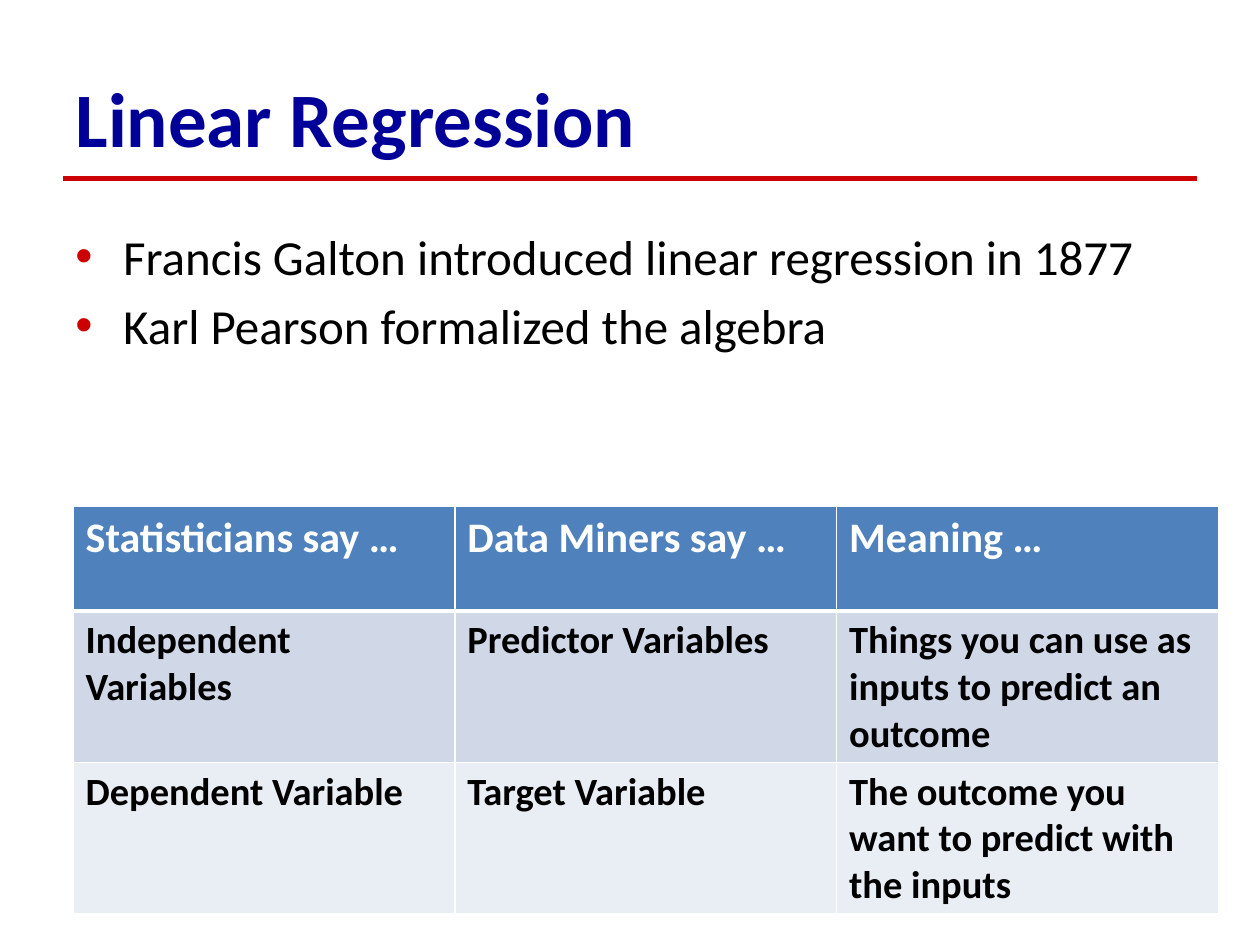
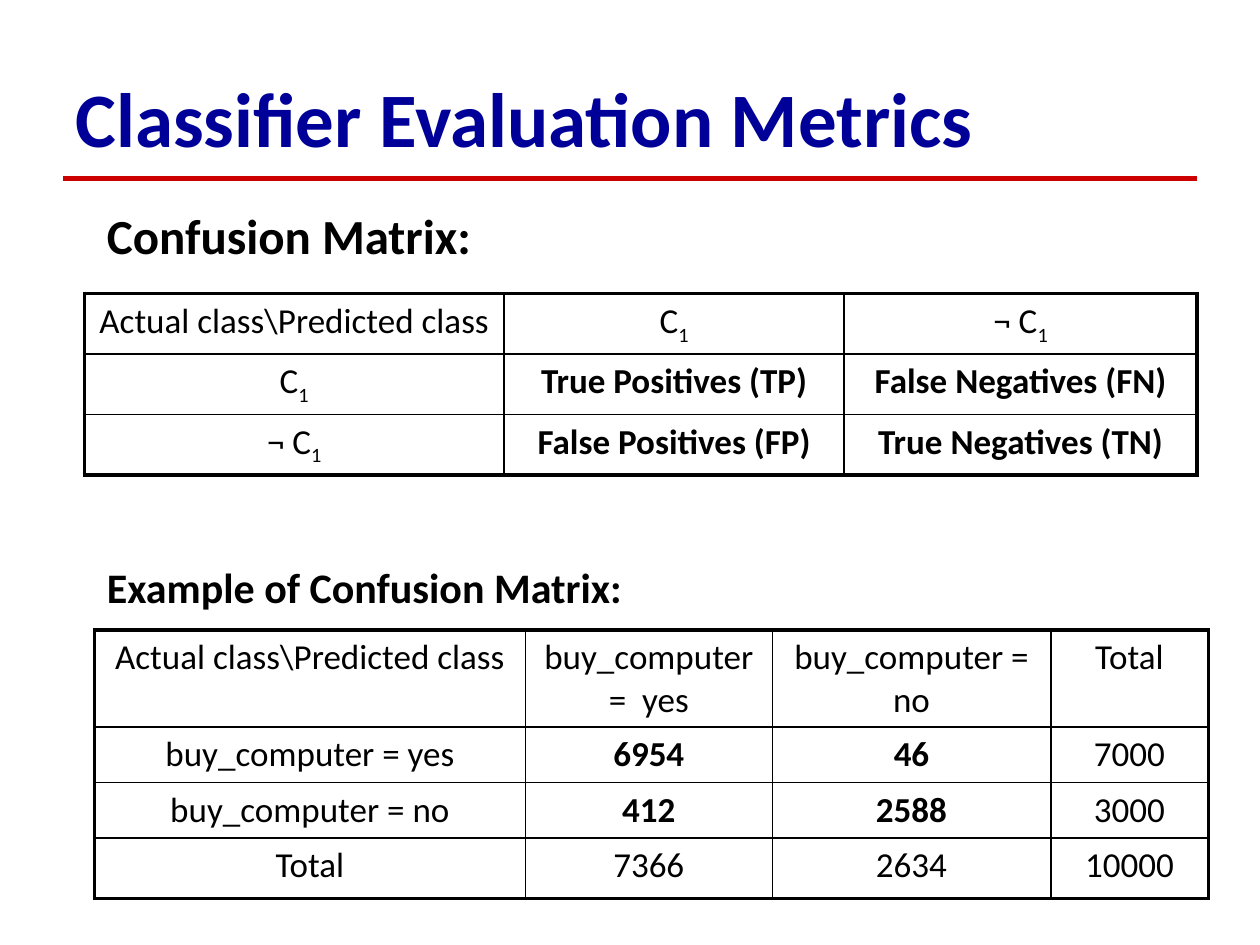
import pptx
import pptx.util
import pptx.dml.color
import pptx.enum.shapes
import pptx.enum.text
import pptx.oxml
import pptx.oxml.ns
import lxml.etree

Inches = pptx.util.Inches
Pt = pptx.util.Pt
CENTER = pptx.enum.text.PP_ALIGN.CENTER
LEFT = pptx.enum.text.PP_ALIGN.LEFT

# Shared look
FONT = "Calibri"
NAVY, RED, BLACK, WHITE = "000099", "CC0000", "000000", "FFFFFF"
HEADER_BLUE, BAND_DARK, BAND_LIGHT = "4F81BD", "D0D8E8", "E9EDF4"
TITLE_ONLY = 5
SUBSCRIPT_MARK = "~"

TERMS = [
    ["Statisticians say …", "Data Miners say …", "Meaning …"],
    ["Independent Variables", "Predictor Variables",
     "Things you can use as inputs to predict an outcome"],
    ["Dependent Variable", "Target Variable",
     "The outcome you want to predict with the inputs"],
]
CONFUSION = [
    ["Actual class\\Predicted class", "C~1", "¬ C~1"],
    ["C~1", "True Positives (TP)", "False Negatives (FN)"],
    ["¬ C~1", "False Positives (FP)", "True Negatives (TN)"],
]
EXAMPLE = [
    ["Actual class\\Predicted class", "buy_computer =  yes", "buy_computer = no", "Total"],
    ["buy_computer = yes", "6954", "46", "7000"],
    ["buy_computer = no", "412", "2588", "3000"],
    ["Total", "7366", "2634", "10000"],
]


def color(hex_string):
    return pptx.dml.color.RGBColor.from_string(hex_string)


def write(paragraph, text, size, text_color=BLACK, bold=False):
    """Add text to a paragraph; what follows the mark is a subscript."""
    for index, part in enumerate(text.split(SUBSCRIPT_MARK)):
        run = paragraph.add_run()
        run.text = part
        for name, value in {"name": FONT, "size": Pt(size), "bold": bold}.items():
            setattr(run.font, name, value)
        run.font.color.rgb = color(text_color)
        if index:
            run._r.get_or_add_rPr().set("baseline", "-25000")


def place(shape, left, top, width, height):
    box = {"left": left, "top": top, "width": width, "height": height}
    for name, value in box.items():
        setattr(shape, name, Inches(value))


def add_titled_slide(presentation, title_text):
    slide = presentation.slides.add_slide(presentation.slide_layouts[TITLE_ONLY])

    # Red rule under the title
    rule = slide.shapes.add_connector(
        pptx.enum.shapes.MSO_CONNECTOR.STRAIGHT,
        Inches(0.5), Inches(1.42), Inches(9.5), Inches(1.42))
    rule.line.color.rgb = color(RED)
    rule.line.width = Pt(2.75)
    lxml.etree.SubElement(rule._element.spPr, pptx.oxml.ns.qn("a:effectLst"))

    # Title
    title = slide.shapes.title
    place(title, 0.5, 0.3, 9, 1.25)
    title.text_frame.vertical_anchor = pptx.enum.text.MSO_ANCHOR.MIDDLE
    paragraph = title.text_frame.paragraphs[0]
    paragraph.alignment = LEFT
    write(paragraph, title_text, 44, NAVY, bold=True)
    return slide


def add_text_box(slide, left, top, width, height):
    box = slide.shapes.add_textbox(
        Inches(left), Inches(top), Inches(width), Inches(height))
    box.text_frame.word_wrap = True
    return box.text_frame


def add_heading(slide, text, size, left, top, width, height):
    frame = add_text_box(slide, left, top, width, height)
    write(frame.paragraphs[0], text, size, bold=True)


def add_bullets(slide, items, size, left, top, width, height):
    frame = add_text_box(slide, left, top, width, height)
    for index, item in enumerate(items):
        paragraph = frame.add_paragraph() if index else frame.paragraphs[0]
        paragraph.space_before = Pt(size * 0.2)
        write(paragraph, item, size)
        properties = paragraph._p.get_or_add_pPr()
        properties.set("marL", str(Inches(0.38)))
        properties.set("indent", str(-Inches(0.38)))
        bullet_color = lxml.etree.SubElement(properties, pptx.oxml.ns.qn("a:buClr"))
        lxml.etree.SubElement(bullet_color, pptx.oxml.ns.qn("a:srgbClr"), val=RED)
        lxml.etree.SubElement(
            properties, pptx.oxml.ns.qn("a:buFont"), typeface="Arial")
        lxml.etree.SubElement(properties, pptx.oxml.ns.qn("a:buChar"), char="•")


def set_borders(cell, line_color, widths):
    """Draw the left, right, top and bottom borders, in that order."""
    properties = cell._tc.get_or_add_tcPr()
    for index, (side, width) in enumerate(zip("LRTB", widths)):
        properties.insert(index, pptx.oxml.parse_xml(
            f'<a:ln{side} {pptx.oxml.ns.nsdecls("a")} w="{Pt(width)}">'
            f'<a:solidFill><a:srgbClr val="{line_color}"/></a:solidFill>'
            f'</a:ln{side}>'))


def add_table(slide, rows, left, top, column_widths, row_heights, format_cell):
    frame = slide.shapes.add_table(
        len(rows), len(column_widths), Inches(left), Inches(top),
        Inches(sum(column_widths)), Inches(sum(row_heights)))
    table = frame.table
    table.first_row = table.horz_banding = False
    for column, width in zip(table.columns, column_widths):
        column.width = Inches(width)
    for row, height in zip(table.rows, row_heights):
        row.height = Inches(height)
    for row_index, texts in enumerate(rows):
        for column_index, text in enumerate(texts):
            format_cell(table, row_index, column_index, text)


def format_terms_cell(table, row, column, text):
    """White text on a blue header, black text on bands below."""
    cell = table.cell(row, column)
    is_header = row == 0
    write(cell.text_frame.paragraphs[0], text, 24 if is_header else 22,
          WHITE if is_header else BLACK, bold=True)
    cell.fill.solid()
    cell.fill.fore_color.rgb = color((HEADER_BLUE, BAND_DARK, BAND_LIGHT)[row])
    set_borders(cell, WHITE,
                (1, 1, 3 if row == 1 else 1, 3 if is_header else 1))


def format_matrix_cell(table, row, column, text):
    """Plain grid with a heavy frame; the four outcome counts are bold."""
    cell = table.cell(row, column)
    paragraph = cell.text_frame.paragraphs[0]
    paragraph.alignment = CENTER
    paragraph.space_before = Pt(4)
    write(paragraph, text, 20, bold=row in (1, 2) and column in (1, 2))
    cell.fill.background()
    outer_edges = (column == 0, column == len(table.columns) - 1,
                   row == 0, row == len(table.rows) - 1)
    set_borders(cell, BLACK, [2.25 if outer else 1 for outer in outer_edges])


def build_regression_slide(presentation):
    slide = add_titled_slide(presentation, "Linear Regression")
    add_bullets(slide, ["Francis Galton introduced linear regression in 1877",
                        "Karl Pearson formalized the algebra"],
                28, 0.5, 1.75, 9, 2)
    add_table(slide, TERMS, 0.58, 4.02, [3.03] * 3, [0.83] * 3, format_terms_cell)


def build_metrics_slide(presentation):
    slide = add_titled_slide(presentation, "Classifier Evaluation Metrics")
    add_heading(slide, "Confusion Matrix:", 28, 0.75, 1.58, 3.58, 0.57)
    add_table(slide, CONFUSION, 0.67, 2.33, [3.33, 2.7, 2.8],
              [0.48] * 3, format_matrix_cell)
    add_heading(slide, "Example of Confusion Matrix:", 24, 0.75, 4.41, 4.6, 0.5)
    add_table(slide, EXAMPLE, 0.75, 5, [3.42, 1.96, 2.21, 1.25],
              [0.77, 0.44, 0.44, 0.48], format_matrix_cell)


def main():
    presentation = pptx.Presentation()
    presentation.slide_width = Inches(10)
    presentation.slide_height = Inches(7.5)
    build_regression_slide(presentation)
    build_metrics_slide(presentation)
    presentation.save("out.pptx")


if __name__ == "__main__":
    main()
